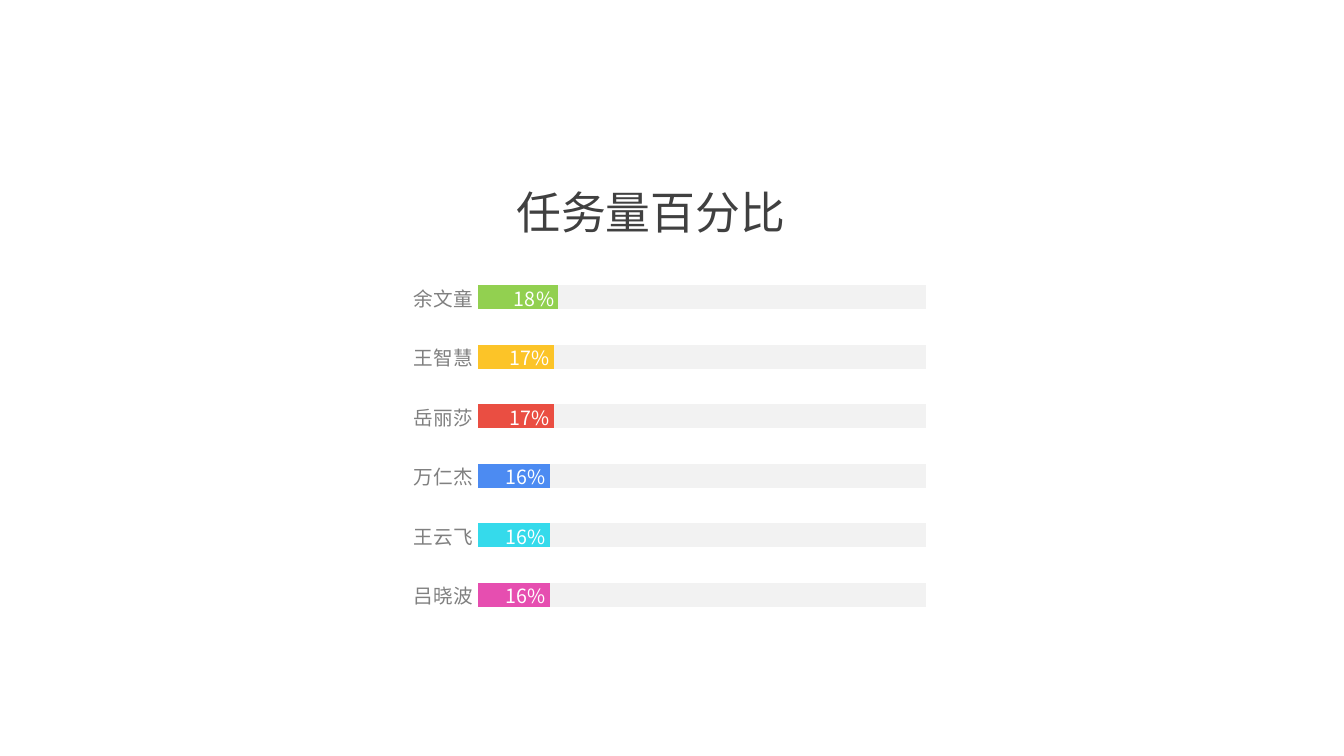
"""Build a slide showing each member's share of the workload as progress bars."""
from dataclasses import dataclass

import pptx
import pptx.chart.data
import pptx.dml.color
import pptx.enum.chart
import pptx.enum.text
import pptx.oxml
import pptx.oxml.ns
import pptx.util

FONT = "Noto Sans CJK SC"
COLORS = {
    "title": "404040",
    "name": "808080",
    "percent": "FFFFFF",
    "rest": "F2F2F2",
    "green": "92D050",
    "yellow": "FCC428",
    "red": "EA4E42",
    "blue": "4C8BF2",
    "cyan": "35DAEB",
    "pink": "E64EB0",
}


@dataclass
class Member:
    name: str
    share: float
    color: str


MEMBERS = [
    Member("余文童", 0.18, "green"),
    Member("王智慧", 0.17, "yellow"),
    Member("岳丽莎", 0.17, "red"),
    Member("万仁杰", 0.16, "blue"),
    Member("王云飞", 0.16, "cyan"),
    Member("吕晓波", 0.16, "pink"),
]


def rgb(color: str) -> pptx.dml.color.RGBColor:
    return pptx.dml.color.RGBColor.from_string(COLORS[color])


def style_font(font, size: float, color: str) -> None:
    font.name = FONT
    font.size = pptx.util.Pt(size)
    font.color.rgb = rgb(color)


def add_east_asian_font(element) -> None:
    for latin in list(element.iter(pptx.oxml.ns.qn("a:latin"))):
        latin.addnext(pptx.oxml.parse_xml(
            f'<a:ea {pptx.oxml.ns.nsdecls("a")} typeface="{FONT}"/>'))


def fill_title(title, text: str) -> None:
    title.left, title.top = pptx.util.Inches(5.02), pptx.util.Inches(1.78)
    title.width, title.height = pptx.util.Inches(3.29), pptx.util.Inches(0.64)
    frame = title.text_frame
    frame.text = text
    frame.word_wrap = True
    frame.auto_size = pptx.enum.text.MSO_AUTO_SIZE.NONE
    frame.vertical_anchor = pptx.enum.text.MSO_ANCHOR.MIDDLE
    heading = frame.paragraphs[0]
    heading.alignment = pptx.enum.text.PP_ALIGN.LEFT
    style_font(heading.runs[0].font, 32, "title")
    add_east_asian_font(title.element)


def add_progress_bars(slide, members: list[Member]) -> None:
    data = pptx.chart.data.CategoryChartData(number_format="0%")
    data.categories = [member.name for member in members]
    data.add_series("Series 1", [member.share for member in members])
    data.add_series("Series 2", [round(1 - member.share, 2) for member in members])
    chart = slide.shapes.add_chart(
        pptx.enum.chart.XL_CHART_TYPE.BAR_STACKED_100,
        pptx.util.Inches(4), pptx.util.Inches(2.58),
        pptx.util.Inches(5.29), pptx.util.Inches(3.69), data).chart
    chart.has_legend = False
    chart.has_title = False
    chart.font.name = FONT
    chart.font.size = pptx.util.Pt(10)

    names = chart.category_axis
    names.reverse_order = True
    names.major_tick_mark = pptx.enum.chart.XL_TICK_MARK.NONE
    names.format.line.fill.background()
    style_font(names.tick_labels.font, 14, "name")
    chart.value_axis.has_major_gridlines = False
    chart.value_axis.visible = False

    plot = chart.plots[0]
    plot.gap_width = 150
    plot.overlap = 100
    plot.vary_by_categories = False
    done, rest = plot.series
    for series, color in ((done, "blue"), (rest, "rest")):
        series.format.fill.solid()
        series.format.fill.fore_color.rgb = rgb(color)
    for index, member in enumerate(members):
        fill = done.points[index].format.fill
        fill.solid()
        fill.fore_color.rgb = rgb(member.color)

    percents = done.data_labels
    percents.show_value = True
    percents.number_format = "0%"
    percents.number_format_is_linked = False
    percents.position = pptx.enum.chart.XL_LABEL_POSITION.INSIDE_END
    style_font(percents.font, 14, "percent")
    add_east_asian_font(chart.element)


def main() -> None:
    deck = pptx.Presentation()
    deck.slide_width = pptx.util.Inches(13.33)
    deck.slide_height = pptx.util.Inches(7.5)
    slide = deck.slides.add_slide(deck.slide_layouts[5])
    fill_title(slide.shapes.title, "任务量百分比")
    add_progress_bars(slide, MEMBERS)
    deck.save("out.pptx")


if __name__ == "__main__":
    main()
